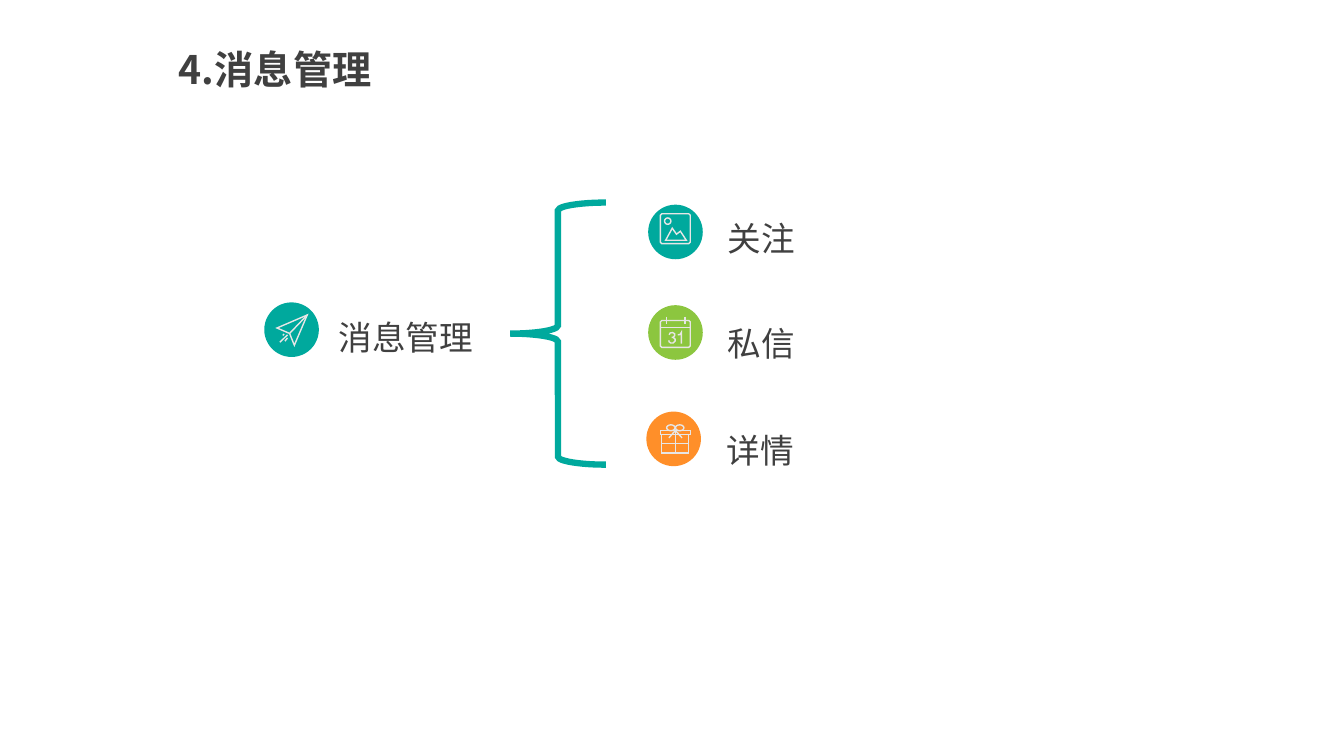
"""Build the message management slide: one topic braced to three branches."""
from math import cos, pi, sin
from lxml.etree import SubElement
from pptx import Presentation
from pptx.dml.color import RGBColor
from pptx.enum.shapes import MSO_SHAPE as Shape
from pptx.enum.text import MSO_ANCHOR as Anchor, PP_ALIGN as Align
from pptx.oxml.ns import qn
from pptx.util import Pt

TEAL = RGBColor(0x00, 0xA9, 0x9D)
GREEN = RGBColor(0x8C, 0xC6, 0x3F)
ORANGE = RGBColor(0xFF, 0x8F, 0x29)
PALE = RGBColor(0xE7, 0xE6, 0xE6)
DARK = RGBColor(0x40, 0x40, 0x40)
FONT = "Noto Sans CJK SC"
DISC = 39
LABEL_WIDTH = 330.5

TITLE = "4.消息管理"
PICTURE = [
    ("round", (0.5, 0.5, 21.3, 21.3)),
    ("oval", (3.5, 3.5, 4.5, 4.5)),
    ("outline", [(4.3, 19.4), (9, 10.8), (12, 15.1), (14.8, 13), (19, 19.4)]),
]
CALENDAR = [
    ("round", (0.5, 2.7, 21.3, 19.2)),
    ("line", [(0.5, 7.6), (21.8, 7.6)]),
    ("line", [(4.7, 0), (4.7, 5)]),
    ("line", [(18, 0), (18, 5)]),
    ("line", [(6.8, 13), (7.4, 11.7), (9.2, 11.3), (10.7, 12.2), (10.7, 13.7),
              (9.6, 14.7), (8.6, 14.8), (9.8, 14.9), (11, 16), (11, 17.5),
              (9.6, 18.8), (7.8, 18.8), (6.7, 17.8), (6.5, 16.9)]),
    ("line", [(13, 13), (14.6, 12.7), (15.5, 11.2), (15.5, 19.2)]),
]
GIFT = [
    ("box", (0.5, 4.7, 21.3, 2.9)),
    ("box", (1.3, 7.6, 19.4, 12.9)),
    ("line", [(1.3, 14), (20.7, 14)]),
    ("line", [(11.2, 4.7), (11.2, 20.5)]),
    ("oval", (5, 0.5, 6, 4.2)),
    ("oval", (11.3, 0.5, 6, 4.2)),
    ("line", [(6.6, 9.8), (11.2, 4.5), (16, 9.8)]),
]
PLANE = [
    ("outline", [(0.4, 9.7), (22, 0.4), (12.8, 22), (9.4, 13.6)]),
    ("line", [(9.4, 13.6), (22, 0.4)]),
    ("line", [(7.9, 16.8), (6.1, 19.1)]),
    ("line", [(7.9, 14.6), (2.5, 19.9)]),
    ("line", [(5.5, 14), (4.6, 15)]),
]
ENTRIES = [
    dict(text="消息管理", color=TEAL, disc=(188.8, 216), icon=PLANE,
         icon_at=(197.5, 224.6), label=(234.7, 217.4, 41.8), margins=(7.2, 3.6, 7.2, 4.8)),
    dict(text="关注", color=TEAL, disc=(463, 146.2), icon=PICTURE,
         icon_at=(471.2, 152.2), label=(501.8, 146.2, 39), margins=(18, 6.4, 7.2, 3.6)),
    dict(text="私信", color=GREEN, disc=(463, 218), icon=CALENDAR,
         icon_at=(471.2, 226.2), label=(501.8, 221, 39), margins=(18, 6.4, 7.2, 3.6)),
    dict(text="详情", color=ORANGE, disc=(461.7, 294), icon=GIFT,
         icon_at=(471.2, 303), label=(501.1, 298.1, 39), margins=(18, 5.2, 7.2, 3.6)),
]


def write(box, text, margins, align=Align.LEFT, spacing=1.0, **font):
    frame = box.text_frame
    sides = ("margin_left", "margin_top", "margin_right", "margin_bottom")
    settings = dict(zip(sides, map(Pt, margins)))
    settings.update(word_wrap=True, vertical_anchor=Anchor.MIDDLE)
    for name, value in settings.items():
        setattr(frame, name, value)
    para = frame.paragraphs[0]
    para.alignment, para.line_spacing = align, spacing
    span = para.add_run()
    span.text = text
    for name, value in dict(name=FONT, **font).items():
        setattr(span.font, name, value)
    span.font.color.rgb = DARK
    SubElement(span.font._element, qn("a:ea"), typeface=FONT)


def stroke(shape, color, width):
    shape.shadow.inherit = False
    shape.fill.background()
    shape.line.color.rgb = color
    shape.line.width = Pt(width)
    SubElement(shape._element.spPr.find(qn("a:ln")), qn("a:miter"), lim="800000")


def trace(kind, geometry):
    if kind in ("line", "outline"):
        return geometry
    x, y, width, height = geometry
    if kind == "oval":
        turns = [2 * pi * step / 16 for step in range(16)]
        return [(x + width * (1 + cos(t)) / 2, y + height * (1 + sin(t)) / 2) for t in turns]
    right, bottom = x + width, y + height
    if kind == "box":
        return [(x, y), (right, y), (right, bottom), (x, bottom)]
    cut = 1
    return [(x + cut, y), (right - cut, y), (right, y + cut), (right, bottom - cut),
            (right - cut, bottom), (x + cut, bottom), (x, bottom - cut), (x, y + cut)]


def draw_icon(shapes, parts, left, top):
    builder = None
    for kind, geometry in parts:
        points = [(Pt(left + x), Pt(top + y)) for x, y in trace(kind, geometry)]
        if builder is None:
            builder = shapes.build_freeform(*points[0], scale=1.0)
        else:
            builder.move_to(*points[0])
        builder.add_line_segments(points[1:], close=kind != "line")
    stroke(builder.convert_to_shape(), PALE, 1)


def draw_entry(page, entry):
    shapes = page.shapes
    disc = shapes.add_shape(Shape.OVAL, *map(Pt, entry["disc"]), Pt(DISC), Pt(DISC))
    disc.shadow.inherit = False
    disc.fill.solid()
    disc.fill.fore_color.rgb = entry["color"]
    disc.line.fill.background()
    draw_icon(shapes, entry["icon"], *entry["icon_at"])
    left, top, height = entry["label"]
    label = shapes.add_textbox(Pt(left), Pt(top), Pt(LABEL_WIDTH), Pt(height))
    write(label, entry["text"], entry["margins"], Align.JUSTIFY, 1.2, size=Pt(24))


def main():
    deck = Presentation()
    deck.slide_width, deck.slide_height = Pt(960), Pt(540)
    page = deck.slides.add_slide(deck.slide_layouts[5])
    title = page.shapes.title
    place = dict(left=120.6, top=28.8, width=259.2, height=41)
    for name, value in place.items():
        setattr(title, name, Pt(value))
    write(title, TITLE, (7.2, 3.6, 7.2, 3.6), size=Pt(28), bold=True)
    for entry in ENTRIES:
        draw_entry(page, entry)
    brace = page.shapes.add_shape(Shape.LEFT_BRACE, Pt(364.3), Pt(144.7), Pt(68.4), Pt(187.2))
    stroke(brace, TEAL, 4.5)
    deck.save("out.pptx")


if __name__ == "__main__":
    main()
